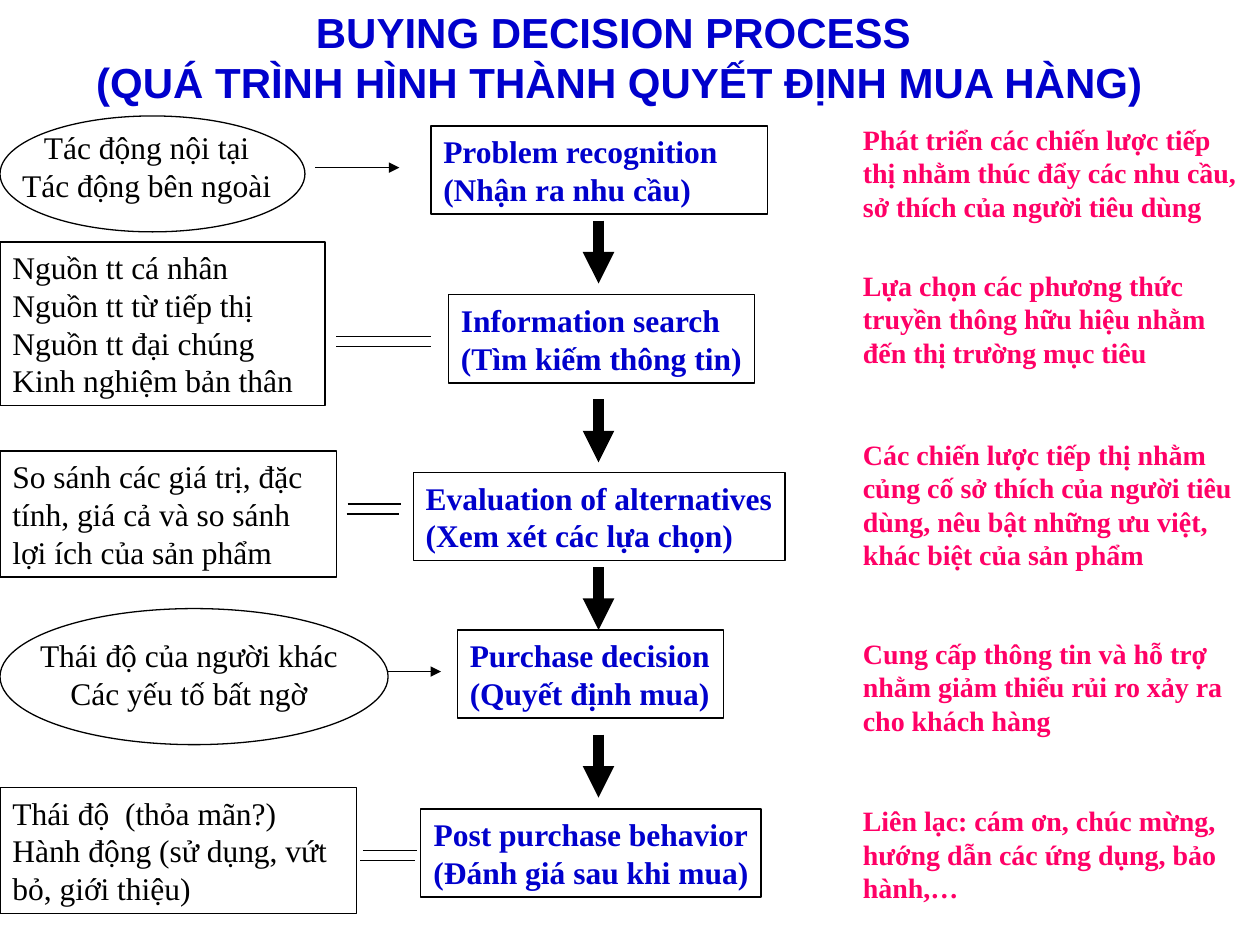
from pptx import Presentation
from pptx.dml.color import RGBColor
from pptx.enum.shapes import MSO_CONNECTOR, MSO_SHAPE
from pptx.enum.text import MSO_ANCHOR, MSO_AUTO_SIZE, PP_ALIGN
from pptx.oxml.ns import qn
from pptx.util import Inches, Pt
from lxml import etree

LEFT, MID = PP_ALIGN.LEFT, PP_ALIGN.CENTER
TOP = MSO_ANCHOR.TOP
FIXED = MSO_AUTO_SIZE.NONE
RECT, OVAL = MSO_SHAPE.RECTANGLE, MSO_SHAPE.OVAL
LINE = MSO_CONNECTOR.STRAIGHT
BLACK, BLUE, PINK = "000000", "0000CC", "FF0066"

deck = Presentation()
deck.slide_width, deck.slide_height = Inches(10), Inches(7.5)
slide = deck.slides.add_slide(deck.slide_layouts[5])
shapes = slide.shapes


def write(shape, text, size=18, font="Times New Roman", color=BLACK,
          bold=False, align=LEFT, before=0, wrap=True):
    frame = shape.text_frame
    frame.word_wrap = wrap
    frame.auto_size = FIXED
    frame.vertical_anchor = TOP
    frame.text = text
    for para in frame.paragraphs:
        para.alignment = align
        para.space_before = Pt(before)
        face = para.runs[0].font
        face.name, face.size, face.bold = font, Pt(size), bold
        face.color.rgb = RGBColor.from_string(color)


def draw(x1, y1, x2, y2, width=0.75, arrow=False):
    line = shapes.add_connector(LINE, Inches(x1), Inches(y1), Inches(x2), Inches(y2))
    line.line.color.rgb = RGBColor.from_string(BLACK)
    line.line.width = Pt(width)
    if arrow:
        etree.SubElement(line.line._get_or_add_ln(), qn("a:tailEnd"), type="triangle")
    etree.SubElement(line._element.spPr, qn("a:effectLst"))


title = shapes.title
title.left, title.top, title.width, title.height = map(Inches, (0.33, 0, 9.17, 0.9))
write(title, "BUYING DECISION PROCESS \n(QUÁ TRÌNH HÌNH THÀNH QUYẾT ĐỊNH MUA HÀNG)",
      size=24, font="Arial", color=BLUE, bold=True, align=MID)

step = dict(color=BLUE, bold=True, wrap=False)
boxes = [
    (3.42, 1, 2.67, 0.7, "Problem recognition\n(Nhận ra nhu cầu)", dict(step, wrap=True)),
    (3.56, 2.34, 2.43, 0.7, "Information search\n(Tìm kiếm thông tin)", step),
    (3.28, 3.75, 2.95, 0.7, "Evaluation of alternatives\n(Xem xét các lựa chọn)", step),
    (3.63, 5, 2.11, 0.7, "Purchase decision\n(Quyết định mua)", step),
    (3.34, 6.42, 2.7, 0.7, "Post purchase behavior\n(Đánh giá sau khi mua)",
     dict(step, align=MID)),
    (0, 1.92, 2.58, 1.3, "Nguồn tt cá nhân\nNguồn tt từ tiếp thị\n"
     "Nguồn tt đại chúng\nKinh nghiệm bản thân", {}),
    (0, 3.58, 2.67, 1, "So sánh các giá trị, đặc tính, giá cả và so sánh "
     "lợi ích của sản phẩm", {}),
    (0, 6.25, 2.83, 1, "Thái độ  (thỏa mãn?)\n"
     "Hành động (sử dụng, vứt bỏ, giới thiệu)", {}),
]
ovals = [(0, 0.92, 2.42, 0.92), (0, 4.83, 3.08, 1.08)]
frames = [(RECT, *box) for box in boxes] + [(OVAL, *oval, "", {}) for oval in ovals]
for kind, x, y, w, h, text, style in frames:
    shape = shapes.add_shape(kind, Inches(x), Inches(y), Inches(w), Inches(h))
    shape.shadow.inherit = False
    shape.fill.background()
    shape.line.color.rgb = RGBColor.from_string(BLACK)
    shape.line.width = Pt(0.75)
    if text:
        write(shape, text, **style)

note = dict(size=16, color=PINK, bold=True, before=10)
labels = [
    (0, 0.97, 2.33, 1, "Tác động nội tại\nTác động bên ngoài", dict(align=MID)),
    (0, 5, 3, 0.7, "Thái độ của người khác\nCác yếu tố bất ngờ", dict(align=MID)),
    (6.75, 0.92, 3.25, 0.9, "Phát triển các chiến lược tiếp thị nhằm thúc đẩy "
     "các nhu cầu, sở thích của người tiêu dùng", note),
    (6.75, 2.08, 3.25, 0.9, "Lựa chọn các phương thức truyền thông hữu hiệu "
     "nhằm đến thị trường mục tiêu", note),
    (6.75, 3.42, 3.25, 1.17, "Các chiến lược tiếp thị nhằm củng cố sở thích của "
     "người tiêu dùng, nêu bật những ưu việt, khác biệt của sản phẩm", note),
    (6.75, 5, 3.25, 0.9, "Cung cấp thông tin và hỗ trợ nhằm giảm thiểu rủi ro "
     "xảy ra cho khách hàng", note),
    (6.75, 6.33, 3.25, 0.9, "Liên lạc: cám ơn, chúc mừng, hướng dẫn các ứng dụng, "
     "bảo hành,…", note),
]
for x, y, w, h, text, style in labels:
    label = shapes.add_textbox(Inches(x), Inches(y), Inches(w), Inches(h))
    write(label, text, **style)

for y in (1.75, 3.17, 4.5, 5.83):
    draw(4.75, y, 4.75, y + 0.5, width=6, arrow=True)

for x1, x2, y in ((2.5, 3.17, 1.33), (3.08, 3.5, 5.33)):
    draw(x1, y, x2, y, arrow=True)

for x1, x2, y, shift in ((2.67, 3.42, 2.67, 0), (2.76, 3.18, 4, 0.01),
                         (2.88, 3.31, 6.75, 0.02)):
    draw(x1, y, x2, y)
    draw(x1 - shift, y + 0.08, x2 - shift, y + 0.08)

deck.save("out.pptx")
